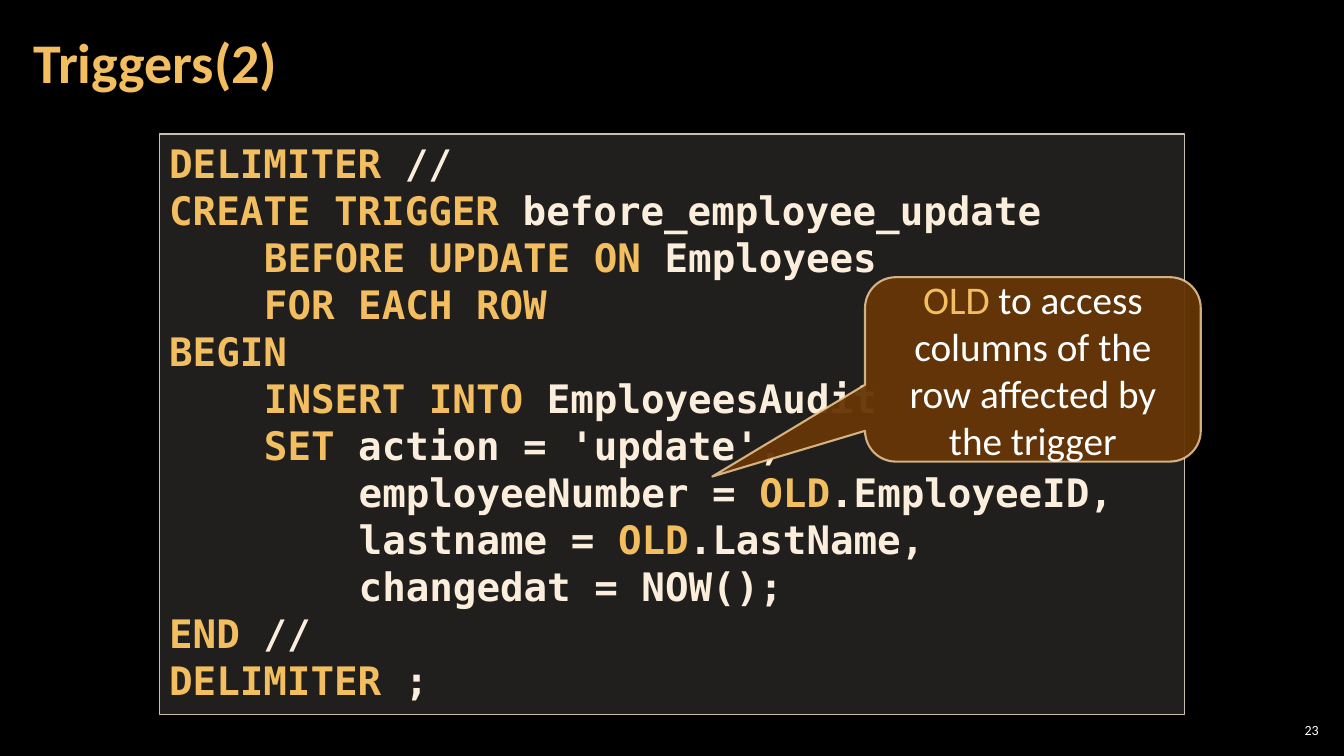
from lxml import etree
from pptx import Presentation
from pptx.dml.color import RGBColor
from pptx.enum.shapes import MSO_SHAPE
from pptx.enum.text import MSO_ANCHOR, PP_ALIGN
from pptx.oxml.ns import qn
from pptx.util import Inches, Pt

RECTANGLE = MSO_SHAPE.RECTANGLE
CALLOUT = MSO_SHAPE.ROUNDED_RECTANGULAR_CALLOUT
TOP, MIDDLE = MSO_ANCHOR.TOP, MSO_ANCHOR.MIDDLE
LEFT, CENTER, RIGHT = PP_ALIGN.LEFT, PP_ALIGN.CENTER, PP_ALIGN.RIGHT

TEXT_FONT = "Calibri"
CODE_FONT = "DejaVu Sans Mono"
BLACK, WHITE = "000000", "FFFFFF"
GOLD, CREAM = "F3BE60", "FBEEDC"
INDENT = Inches(0.94)  # four characters of code

# Each line: indent level, then runs of text and colour
CODE_LINES = [
    (0, [("DELIMITER ", GOLD), ("//", CREAM)]),
    (0, [("CREATE TRIGGER", GOLD), (" before_employee_update", CREAM)]),
    (1, [("BEFORE UPDATE ON ", GOLD), ("Employees", CREAM)]),
    (1, [("FOR EACH ROW", GOLD)]),
    (0, [("BEGIN", GOLD)]),
    (1, [("INSERT INTO ", GOLD), ("EmployeesAudit", CREAM)]),
    (1, [("SET", GOLD), (" action = 'update',", CREAM)]),
    (2, [("employeeNumber = ", CREAM), ("OLD", GOLD), (".EmployeeID,", CREAM)]),
    (2, [("lastname = ", CREAM), ("OLD", GOLD), (".LastName,", CREAM)]),
    (2, [("changedat = NOW();", CREAM)]),
    (0, [("END", GOLD), (" //", CREAM)]),
    (0, [("DELIMITER", GOLD), (" ;", CREAM)]),
]
CALLOUT_RUNS = [
    ("OLD", GOLD),
    (" to access columns of the row affected by the trigger", WHITE),
]


def rgb(color):
    return RGBColor.from_string(color)


def set_opacity(color_format_owner, percent):
    """Make a solid fill partly transparent."""
    color = color_format_owner._xPr.find(qn("a:solidFill"))[0]
    etree.SubElement(color, qn("a:alpha")).set("val", str(percent * 1000))


def set_margins(frame, horizontal, vertical):
    frame.margin_left = frame.margin_right = Inches(horizontal)
    frame.margin_top = frame.margin_bottom = Inches(vertical)


def format_paragraph(paragraph, font, size, bold=False, alignment=LEFT):
    paragraph.font.name = font
    paragraph.font.size = Pt(size)
    paragraph.font.bold = bold
    paragraph.alignment = alignment


def add_runs(paragraph, runs):
    for text, color in runs:
        run = paragraph.add_run()
        run.text = text
        run.font.color.rgb = rgb(color)


def add_panel(slide, kind, box, fill, opacity, line, line_width, anchor):
    shape = slide.shapes.add_shape(kind, *map(Inches, box))
    shape.shadow.inherit = False
    shape.fill.solid()
    shape.fill.fore_color.rgb = rgb(fill)
    set_opacity(shape.fill, opacity)
    shape.line.color.rgb = rgb(line)
    shape.line.width = Pt(line_width)
    shape.text_frame.word_wrap = True
    shape.text_frame.vertical_anchor = anchor
    return shape


def set_title(slide, text):
    title = slide.shapes.title
    title.left, title.top = Inches(0.21), Inches(0.04)
    title.width, title.height = Inches(10.47), Inches(1.21)
    frame = title.text_frame
    frame.vertical_anchor = MIDDLE
    set_margins(frame, 0.12, 0.04)
    paragraph = frame.paragraphs[0]
    add_runs(paragraph, [(text, GOLD)])
    format_paragraph(paragraph, TEXT_FONT, 40, bold=True)
    paragraph.line_spacing = 0.9


def add_code(slide, lines):
    box = (1.58, 1.33, 10.17, 5.76)
    panel = add_panel(slide, RECTANGLE, box, "D9D5C7", 15, "C7BFAC", 1, TOP)
    frame = panel.text_frame
    for number, (level, runs) in enumerate(lines):
        paragraph = frame.add_paragraph() if number else frame.paragraphs[0]
        add_runs(paragraph, runs)
        format_paragraph(paragraph, CODE_FONT, 28, bold=True)
        paragraph.line_spacing = Pt(33.6)
        properties = paragraph._p.get_or_add_pPr()
        properties.set("marL", str(level * INDENT))
        properties.set("indent", "0")


def add_callout(slide, runs):
    box = (8.58, 2.75, 3.33, 1.83)
    callout = add_panel(slide, CALLOUT, box, "663606", 95, "F8D49E", 1.5, MIDDLE)
    set_opacity(callout.line.fill, 80)
    for index, value in enumerate((-0.955, 0.581, 0.167)):
        callout.adjustments[index] = value
    paragraph = callout.text_frame.paragraphs[0]
    add_runs(paragraph, runs)
    format_paragraph(paragraph, TEXT_FONT, 28, alignment=CENTER)


def add_page_number(slide, number):
    box = (12.65, 7.14, 0.47, 0.21)
    frame = slide.shapes.add_textbox(*map(Inches, box)).text_frame
    frame.word_wrap = True
    frame.vertical_anchor = MIDDLE
    set_margins(frame, 0.04, 0.04)
    add_runs(frame.paragraphs[0], [(number, WHITE)])
    format_paragraph(frame.paragraphs[0], TEXT_FONT, 10, alignment=RIGHT)


def main():
    presentation = Presentation()
    presentation.slide_width = Inches(13.33)
    presentation.slide_height = Inches(7.5)
    slide = presentation.slides.add_slide(presentation.slide_layouts[5])
    slide.background.fill.solid()
    slide.background.fill.fore_color.rgb = rgb(BLACK)
    add_page_number(slide, "23")
    set_title(slide, "Triggers(2)")
    add_code(slide, CODE_LINES)
    add_callout(slide, CALLOUT_RUNS)
    presentation.save("out.pptx")


if __name__ == "__main__":
    main()
